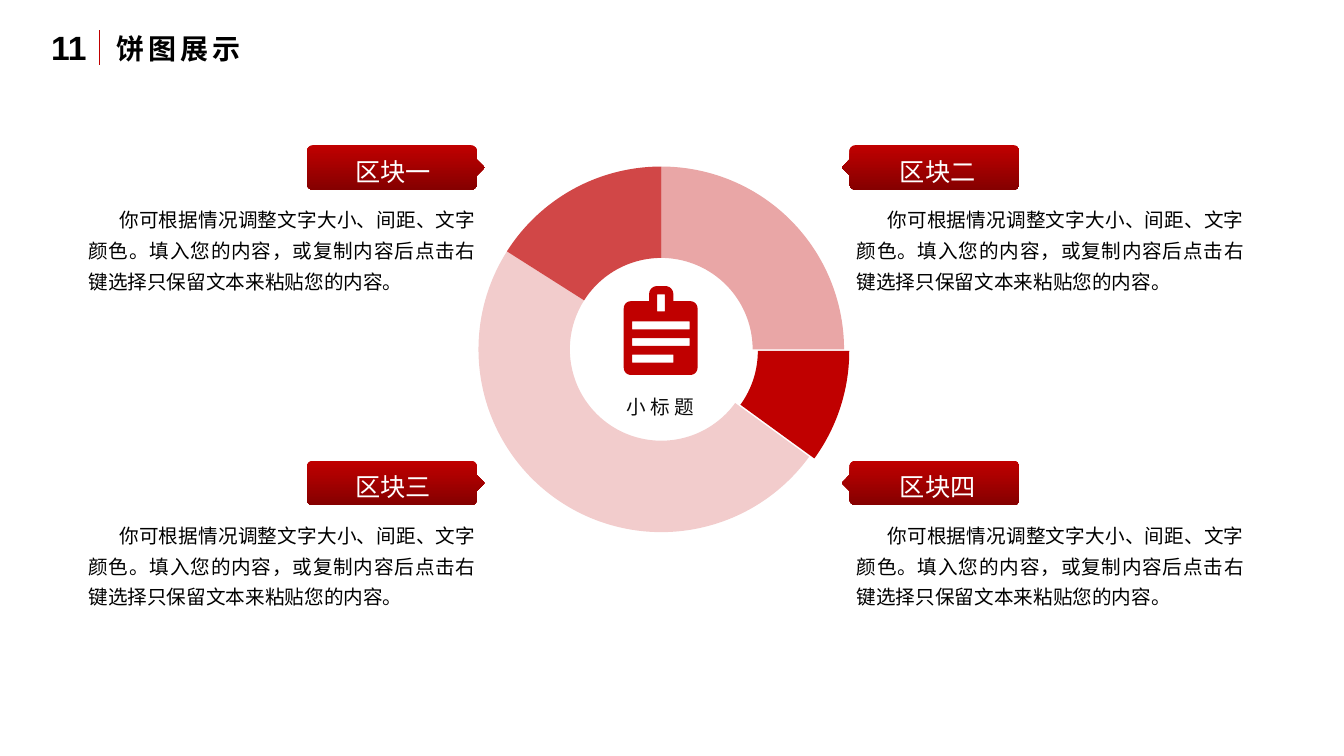
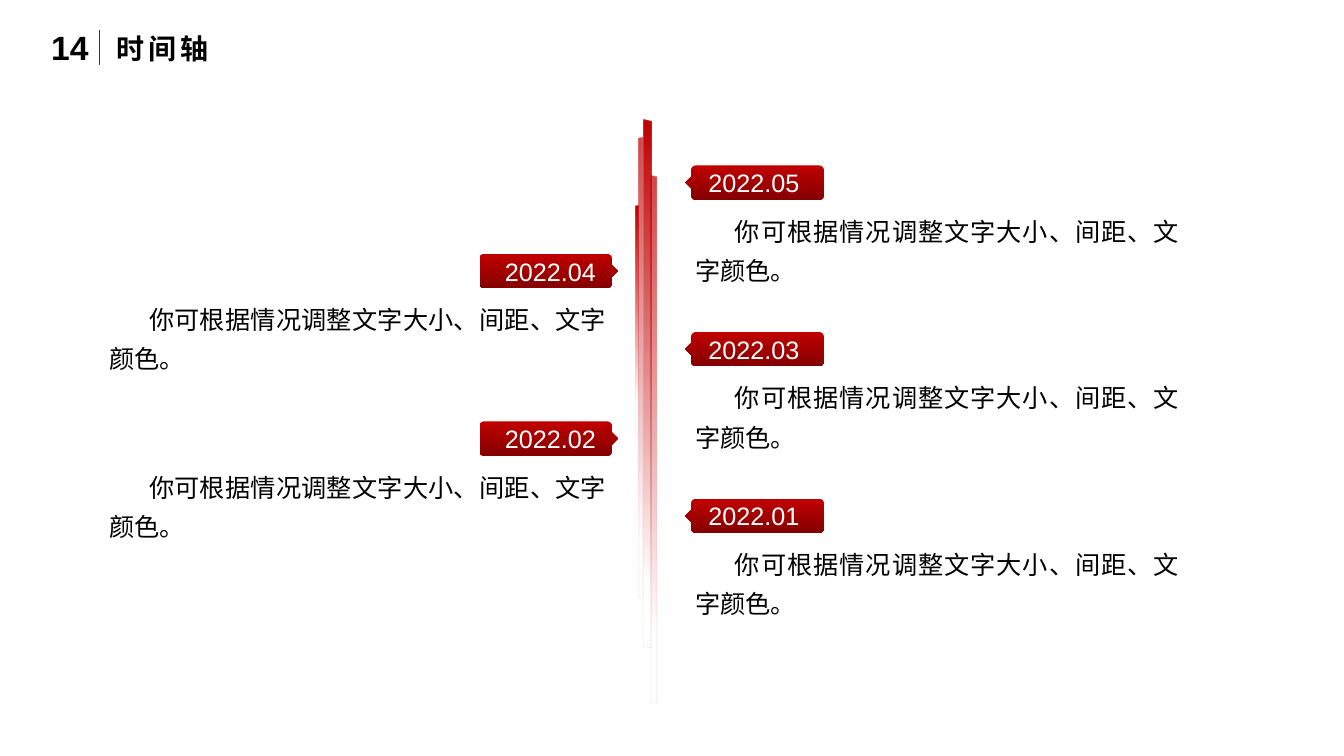
"""Build a doughnut chart slide and a timeline slide in a shared red style."""
from math import cos, radians, sin

from lxml.etree import SubElement
from pptx import Presentation
from pptx.chart.data import CategoryChartData
from pptx.dml.color import RGBColor
from pptx.enum.chart import XL_CHART_TYPE as ChartType
from pptx.enum.shapes import MSO_CONNECTOR as Connector, MSO_SHAPE as Preset
from pptx.enum.text import MSO_ANCHOR as Anchor, MSO_AUTO_SIZE as AutoSize, PP_ALIGN as Align
from pptx.oxml import parse_xml
from pptx.oxml.ns import nsdecls, qn
from pptx.util import Cm, Pt

COLORS = {
    "red": "C00000",
    "dark_red": "850000",
    "pink": "FF7676",
    "black": "000000",
    "ink": "0D0D0D",
    "white": "FFFFFF",
}
RGB = {name: RGBColor.from_string(value) for name, value in COLORS.items()}
CHINESE = "Noto Sans CJK SC"
LATIN = "Arial"
ARC_STEPS = 6


def round_box(left, top, width, height, radius):
    """Return four rounded corners, clockwise from the top right."""
    near_x, far_x = left + radius, left + width - radius
    near_y, far_y = top + radius, top + height - radius
    centers = [(far_x, near_y), (far_x, far_y), (near_x, far_y), (near_x, near_y)]
    return [
        [
            (x + radius * cos(radians(angle)), y + radius * sin(radians(angle)))
            for angle in [90 * (corner - 1 + step / ARC_STEPS) for step in range(ARC_STEPS + 1)]
        ]
        for corner, (x, y) in enumerate(centers)
    ]


def write_text(shape, text, font, color="black", align=Align.LEFT, line=1.0, spacing=0, indent=0):
    """Fill a shape with one formatted paragraph."""
    frame = shape.text_frame
    frame.auto_size = AutoSize.NONE
    frame.word_wrap = True
    frame.vertical_anchor = Anchor.TOP
    paragraph = frame.paragraphs[0]
    paragraph.alignment = align
    paragraph.line_spacing = line
    paragraph._p.get_or_add_pPr().set("indent", str(Cm(indent)))
    run = paragraph.add_run()
    run.text = text
    for name, value in font.items():
        setattr(run.font, name, value)
    run.font.color.rgb = RGB[color]
    properties = run._r.get_or_add_rPr()
    properties.set("spc", str(spacing * 100))
    SubElement(properties, qn("a:ea")).set("typeface", CHINESE)


presentation = Presentation()
presentation.slide_width = Cm(33.87)
presentation.slide_height = Cm(19.05)

slides = []
for number, title in [("11", "饼图展示"), ("14", "时间轴")]:
    slide = presentation.slides.add_slide(presentation.slide_layouts[5])
    slides.append(slide)
    heading = slide.shapes.title
    for name, value in {"left": 2.67, "top": 0.66, "width": 12, "height": 1.12}.items():
        setattr(heading, name, Cm(value))
    write_text(heading, title, {"name": CHINESE, "size": Pt(20), "bold": True}, spacing=3)
    number_box = slide.shapes.add_textbox(Cm(1.04), Cm(0.56), Cm(1.6), Cm(1.27))
    write_text(number_box, number, {"name": LATIN, "size": Pt(24), "bold": True})
    divider = slide.shapes.add_connector(Connector.STRAIGHT, Cm(2.51), Cm(0.76), Cm(2.51), Cm(1.65))
    divider.line.color.rgb = RGB["red"]
    divider.line.width = Pt(0.5)
    SubElement(divider._element.spPr, qn("a:effectLst"))

chart_slide, timeline_slide = slides

chart_data = CategoryChartData()
chart_data.categories = ["1", "2", "3", "4"]
chart_data.add_series("Series 1", [25, 10, 49, 16])
chart = chart_slide.shapes.add_chart(
    ChartType.DOUGHNUT, Cm(11.18), Cm(3.89), Cm(10.97), Cm(9.83), chart_data
).chart
chart.has_legend = False
chart.has_title = False
for name, value in {"name": CHINESE, "size": Pt(10)}.items():
    setattr(chart.font, name, value)
chart.font.color.rgb = RGB["black"]
plot = chart.plots[0]
plot.vary_by_categories = True
plot._element.find(qn("c:holeSize")).set("val", "75")
for index, opacity in enumerate([35, 100, 20, 72]):
    point = plot.series[0].points[index]
    point.format.fill.solid()
    point.format.fill.fore_color.rgb = RGB["red"]
    point.format.line.fill.background()
    color = point.format.fill._xPr.find(".//" + qn("a:srgbClr"))
    SubElement(color, qn("a:alpha")).set("val", str(opacity * 1000))
exploded = plot.series[0]._element.findall(qn("c:dPt"))[1]
exploded.find(qn("c:spPr")).addprevious(parse_xml(f'<c:explosion {nsdecls("c")} val="6"/>'))
plot_area = chart._chartSpace.chart.plotArea
for layout in plot_area.findall(qn("c:layout")):
    plot_area.remove(layout)
plot_area.insert(0, parse_xml(
    f'<c:layout {nsdecls("c")}><c:manualLayout><c:layoutTarget val="inner"/>'
    '<c:xMode val="edge"/><c:yMode val="edge"/><c:x val="0.08"/><c:y val="0.03"/>'
    '<c:w val="0.84"/><c:h val="0.94"/></c:manualLayout></c:layout>'
))

board = round_box(15.72, 7.59, 1.86, 1.86, 0.18)
clasp = round_box(16.36, 7.21, 0.61, 0.6, 0.2)
outline = sum(board, []) + [(16.36, 7.59)] + clasp[3] + clasp[0] + [(16.97, 7.59)]
contours = [outline]
for left, top, width, height in [
    (16.56, 7.42, 0.2, 0.43),
    (15.93, 8.1, 1.45, 0.2),
    (15.93, 8.52, 1.45, 0.2),
    (15.93, 8.94, 1.04, 0.2),
]:
    right, bottom = left + width, top + height
    contours.append([(left, top), (left, bottom), (right, bottom), (right, top)])
builder = chart_slide.shapes.build_freeform(Cm(outline[0][0]), Cm(outline[0][1]))
for contour in contours:
    builder.move_to(Cm(contour[0][0]), Cm(contour[0][1]))
    builder.add_line_segments([(Cm(x), Cm(y)) for x, y in contour[1:]])
clipboard = builder.convert_to_shape()
clipboard.shadow.inherit = False
clipboard.fill.solid()
clipboard.fill.fore_color.rgb = RGB["red"]
clipboard.line.fill.background()
caption = chart_slide.shapes.add_textbox(Cm(14.15), Cm(9.83), Cm(5), Cm(0.86))
write_text(caption, "小标题", {"name": LATIN, "size": Pt(14)}, "ink", Align.CENTER, spacing=3)

for center, top, length, thickness, opacity, flipped in [
    (16.15, 3.48, 11.58, 0.1, 72, True),
    (16.31, 3.02, 13.31, 0.2, 100, False),
    (16.48, 4.42, 13.31, 0.15, 72, False),
    (16.05, 5.17, 5.74, 0.08, 100, True),
]:
    bar = timeline_slide.shapes.add_shape(
        Preset.PARALLELOGRAM, Cm(center - length / 2), Cm(top + (length - thickness) / 2),
        Cm(length), Cm(thickness),
    )
    bar.shadow.inherit = False
    bar.rotation = 90
    if flipped:
        bar._element.spPr.xfrm.set("flipV", "1")
    bar.fill.gradient()
    bar.fill.gradient_angle = 0
    for stop, position, alpha in zip(bar.fill.gradient_stops, [0, 0.87], [opacity, 0]):
        stop.position = position
        stop.color.rgb = RGB["red"]
    bar.line.color.rgb = RGB["pink"]
    bar.line.width = Pt(0.25)
    colors = bar._element.spPr.findall(".//" + qn("a:srgbClr"))
    for color, alpha in zip(colors, [opacity, 0, 25]):
        SubElement(color, qn("a:alpha")).set("val", str(alpha * 1000))

chart_style = {
    "slide": chart_slide, "tag_width": 4.28, "tag_height": 1.12, "tag_font": CHINESE,
    "tag_line": 1.3, "size": 14, "indent": 0.78, "text_drop": 1.29, "text_height": 2.51,
    "text": "你可根据情况调整文字大小、间距、文字颜色。填入您的内容，或复制内容后点击右键选择只保留文本来粘贴您的内容。",
}
timeline_style = {
    "slide": timeline_slide, "tag_width": 3.33, "tag_height": 0.86, "tag_font": LATIN,
    "tag_line": 1.0, "size": 18, "indent": 1.0, "text_drop": 0.92, "text_height": 2.16,
    "text": "你可根据情况调整文字大小、间距、文字颜色。",
}
columns = [
    (chart_style, 1, 12.22, 1.22, 1.98, 10.26, 3.66, 7.95, ["区块一", "区块三"]),
    (chart_style, -1, 21.21, 1.47, 21.34, 10.26, 3.66, 7.95, ["区块二", "区块四"]),
    (timeline_style, -1, 17.27, 0.58, 17.27, 12.7, 4.17, 4.2, ["2022.05", "2022.03", "2022.01"]),
    (timeline_style, 1, 15.57, 0.64, 2.51, 13.03, 6.4, 4.22, ["2022.04", "2022.02"]),
]
for style, side, tip_x, margin, text_left, text_width, first_top, step, labels in columns:
    shapes = style["slide"].shapes
    height = style["tag_height"]
    tip = 0.18 * height
    for index, label in enumerate(labels):
        top = first_top + index * step
        middle = top + height / 2
        corners = round_box(-tip - style["tag_width"], top, style["tag_width"], height, 0.13 * height)
        pointer = [(-tip, middle - tip), (0, middle), (-tip, middle + tip)]
        points = corners[0] + pointer + sum(corners[1:], [])
        points = [(Cm(tip_x + side * x), Cm(y)) for x, y in points]
        builder = shapes.build_freeform(*points[0])
        builder.add_line_segments(points[1:])
        tag = builder.convert_to_shape()
        tag.shadow.inherit = False
        tag.line.fill.background()
        tag.fill.gradient()
        tag.fill.gradient_angle = 270
        for stop, position, name in zip(tag.fill.gradient_stops, [0, 1], ["red", "dark_red"]):
            stop.position = position
            stop.color.rgb = RGB[name]
        for name, value in {"left": margin, "top": 0.05, "right": 0, "bottom": 0}.items():
            setattr(tag.text_frame, f"margin_{name}", Cm(value))
        tag_font = {"name": style["tag_font"], "size": Pt(18)}
        write_text(tag, label, tag_font, "white", line=style["tag_line"])
        text_box = shapes.add_textbox(
            Cm(text_left), Cm(top + style["text_drop"]), Cm(text_width), Cm(style["text_height"])
        )
        text_font = {"name": CHINESE, "size": Pt(style["size"])}
        write_text(text_box, style["text"], text_font, align=Align.JUSTIFY, line=1.3, indent=style["indent"])

presentation.save("out.pptx")
